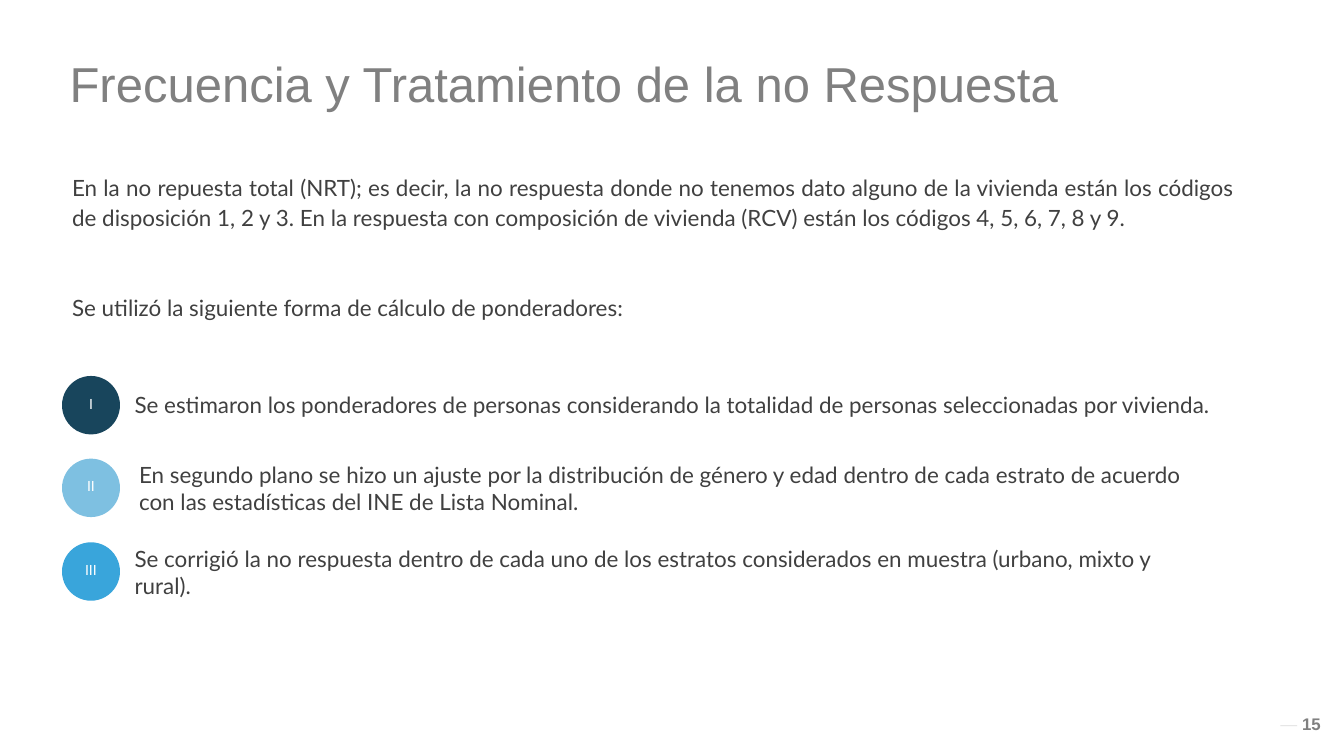
"""Build the slide on non-response frequency and treatment."""
import pptx
import pptx.dml.color
import pptx.enum.shapes
import pptx.enum.text
import pptx.oxml
import pptx.oxml.ns
import pptx.util
from dataclasses import dataclass

Inches = pptx.util.Inches
Pt = pptx.util.Pt
RGB = pptx.dml.color.RGBColor.from_string
Align = pptx.enum.text.PP_ALIGN
Anchor = pptx.enum.text.MSO_ANCHOR
Shape = pptx.enum.shapes.MSO_SHAPE


@dataclass(frozen=True)
class Theme:
    head: str = "Arial"
    body: str = "Lato"
    gray: str = "808080"
    dark: str = "404040"
    white: str = "FFFFFF"
    navy: str = "18455C"
    pale: str = "7EC0E1"
    blue: str = "39A5DB"
    title: int = 70
    text: int = 32
    page: int = 24
    badge: int = 20
    lead: int = 44


def add_run(para, text, font, size, color, bold=False):
    run = para.add_run()
    run.text = text
    run.font.name = font
    run.font.size = Pt(size)
    run.font.color.rgb = RGB(color)
    run.font.bold = bold


def set_frame(shape, box, pads, anchor):
    shape.left, shape.top, shape.width, shape.height = map(Inches, box)
    frame = shape.text_frame
    frame.word_wrap = True
    frame.auto_size = pptx.enum.text.MSO_AUTO_SIZE.NONE
    frame.vertical_anchor = anchor
    frame.margin_left, frame.margin_top, frame.margin_right, frame.margin_bottom = map(Inches, pads)
    return frame


theme = Theme()
deck = pptx.Presentation()
deck.slide_width = Inches(26.66)
deck.slide_height = Inches(15)
slide = deck.slides.add_slide(deck.slide_layouts[1])
shapes = slide.shapes
title, body = slide.placeholders
pad = (0.1, 0.05, 0.1, 0.05)

frame = set_frame(title, (1.38, 1.09, 20.25, 1.05), (0, 0.1, 0.2, 0.1), Anchor.TOP)
para = frame.paragraphs[0]
para.alignment = Align.LEFT
para.line_spacing = 0.9
add_run(para, "Frecuencia y Tratamiento de la no Respuesta", theme.head, theme.title, theme.gray)

intro = [
    ("En la no repuesta total (NRT); es decir, la no respuesta donde no tenemos dato alguno de la "
     "vivienda están los códigos de disposición 1, 2 y 3. En la respuesta con composición de "
     "vivienda (RCV) están los códigos 4, 5, 6, 7, 8 y 9.", Align.JUSTIFY, 0),
    ("Se utilizó la siguiente forma de cálculo de ponderadores:", Align.LEFT, 84),
]
frame = set_frame(body, (1.23, 3.27, 23.46, 3.85), (0.2, 0.1, 0.2, 0.1), Anchor.TOP)
for i, (text, align, gap) in enumerate(intro):
    para = frame.add_paragraph() if i else frame.paragraphs[0]
    para.alignment = align
    para.line_spacing = Pt(theme.lead)
    para.space_before = Pt(gap)
    props = para._p.get_or_add_pPr()
    props.set("marL", "0")
    props.set("indent", "0")
    props.append(pptx.oxml.parse_xml(f'<a:buNone {pptx.oxml.ns.nsdecls("a")}/>'))
    add_run(para, text, theme.body, theme.text, theme.dark)

steps = [
    ("I", theme.navy, 7.46, (2.57, 7.72, 22.28, 0.64),
     "Se estimaron los ponderadores de personas considerando la totalidad de personas "
     "seleccionadas por vivienda."),
    ("II", theme.pale, 9.1, (2.66, 9.1, 21.47, 1.18),
     "En segundo plano se hizo un ajuste por la distribución de género y edad dentro de cada "
     "estrato de acuerdo con las estadísticas del INE de Lista Nominal."),
    ("III", theme.blue, 10.76, (2.57, 10.76, 21.47, 1.18),
     "Se corrigió la no respuesta dentro de cada uno de los estratos considerados en muestra "
     "(urbano, mixto y rural)."),
]
for mark, color, top, box, text in steps:
    spot = (1.23, top, 1.15, 1.16)
    badge = shapes.add_shape(Shape.OVAL, *map(Inches, spot))
    badge.shadow.inherit = False
    badge.fill.solid()
    badge.fill.fore_color.rgb = RGB(color)
    badge.line.fill.background()
    frame = set_frame(badge, spot, (0.1, 0, 0.1, 0.07), Anchor.MIDDLE)
    frame.paragraphs[0].alignment = Align.CENTER
    add_run(frame.paragraphs[0], mark, theme.body, theme.badge, theme.white)
    note = shapes.add_textbox(*map(Inches, box))
    frame = set_frame(note, box, pad, Anchor.TOP)
    add_run(frame.paragraphs[0], text, theme.body, theme.text, theme.dark)

dash = shapes.add_connector(
    pptx.enum.shapes.MSO_CONNECTOR.STRAIGHT, *map(Inches, (25.73, 14.4, 25.4, 14.4)))
dash.line.width = Pt(1)
dash.line.color.rgb = RGB(theme.dark)
tint = dash.line._ln.find(".//" + pptx.oxml.ns.qn("a:srgbClr"))
tint.append(pptx.oxml.parse_xml(f'<a:alpha {pptx.oxml.ns.nsdecls("a")} val="20000"/>'))
dash._element.spPr.append(pptx.oxml.parse_xml(f'<a:effectLst {pptx.oxml.ns.nsdecls("a")}/>'))

box = (25.73, 14.09, 0.65, 0.54)
page = shapes.add_textbox(*map(Inches, box))
frame = set_frame(page, box, pad, Anchor.MIDDLE)
add_run(frame.paragraphs[0], "15", theme.head, theme.page, theme.gray, True)

deck.save("out.pptx")
